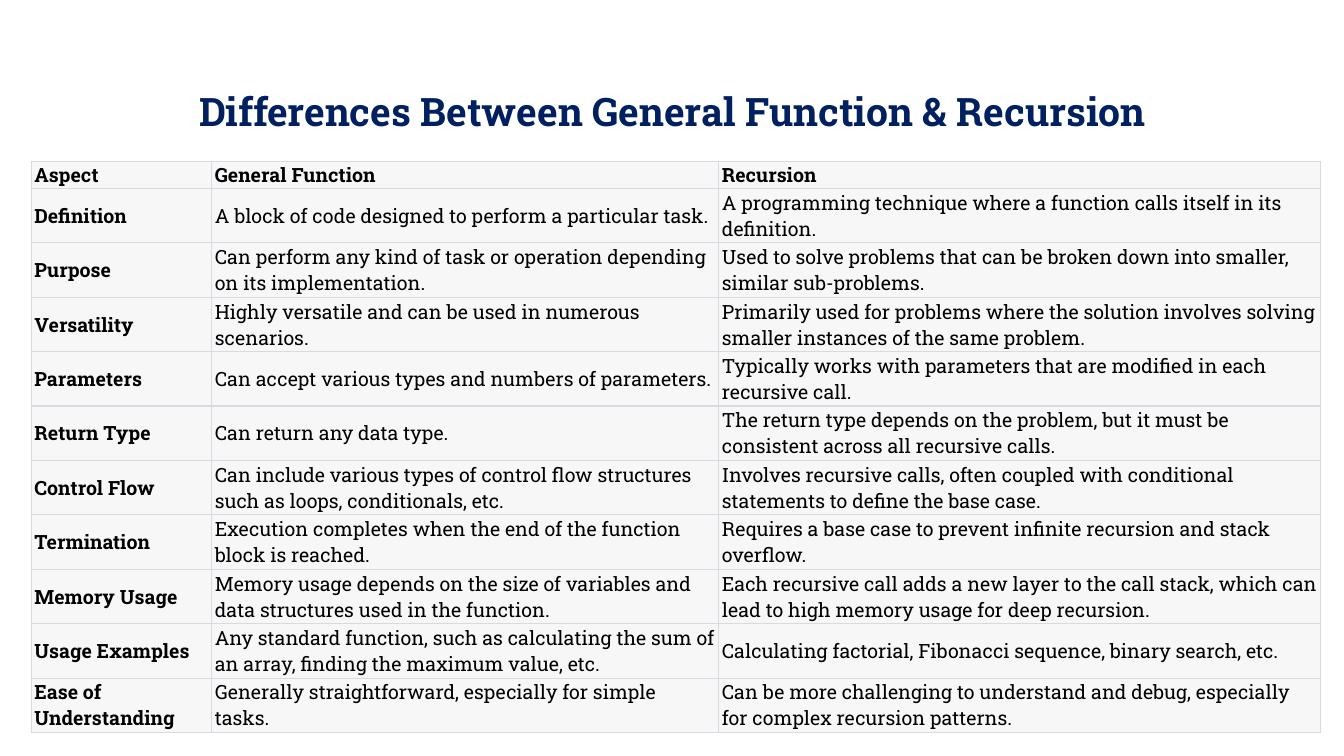
from lxml import etree
from pptx import Presentation
from pptx import util as u
from pptx.dml.color import RGBColor
from pptx.enum import text
from pptx.oxml import ns

ROWS = [
    ("Aspect", "General Function", "Recursion"),
    ("Definition",
     "A block of code designed to perform a particular task.",
     "A programming technique where a function calls itself in its definition."),
    ("Purpose",
     "Can perform any kind of task or operation depending on its implementation.",
     "Used to solve problems that can be broken down into smaller, similar sub-problems."),
    ("Versatility",
     "Highly versatile and can be used in numerous scenarios.",
     "Primarily used for problems where the solution involves solving smaller instances of the same problem."),
    ("Parameters",
     "Can accept various types and numbers of parameters.",
     "Typically works with parameters that are modified in each recursive call."),
    ("Return Type",
     "Can return any data type.",
     "The return type depends on the problem, but it must be consistent across all recursive calls."),
    ("Control Flow",
     "Can include various types of control flow structures such as loops, conditionals, etc.",
     "Involves recursive calls, often coupled with conditional statements to define the base case."),
    ("Termination",
     "Execution completes when the end of the function block is reached.",
     "Requires a base case to prevent infinite recursion and stack overflow."),
    ("Memory Usage",
     "Memory usage depends on the size of variables and data structures used in the function.",
     "Each recursive call adds a new layer to the call stack, which can lead to high memory usage for deep recursion."),
    ("Usage Examples",
     "Any standard function, such as calculating the sum of an array, finding the maximum value, etc.",
     "Calculating factorial, Fibonacci sequence, binary search, etc."),
    ("Ease of Understanding",
     "Generally straightforward, especially for simple tasks.",
     "Can be more challenging to understand and debug, especially for complex recursion patterns."),
]


def color(code):
    return RGBColor.from_string(code)


def assign(item, values):
    for name, value in values.items():
        setattr(item, name, value)


class Deck:
    """Style and current slide; lengths are percent of the slide's size."""
    font = "Roboto Slab"
    ink, navy, pale, rule = "000000", "002060", "F7F7F8", "D9D9E3"

    def __init__(self):
        self.show = Presentation()
        assign(self.show, {"slide_width": u.Inches(13.33), "slide_height": u.Inches(7.5)})
        self.slide = self.show.slides.add_slide(self.show.slide_layouts[6])

    def col(self, share):
        return int(self.show.slide_width * share / 100)

    def row(self, share):
        return int(self.show.slide_height * share / 100)

    def label(self, frame, words, size, bold, hue):
        """Put one run of text in the frame and return its paragraph."""
        part = frame.paragraphs[0]
        run = part.add_run()
        run.text = words
        assign(run.font, {"name": self.font, "size": u.Pt(size), "bold": bold})
        run.font.color.rgb = color(hue)
        return part

    def title(self, words, left, top, width, height):
        box = self.slide.shapes.add_textbox(
            self.col(left), self.row(top), self.col(width), self.row(height))
        assign(box.text_frame, {"word_wrap": True, "vertical_anchor": text.MSO_ANCHOR.MIDDLE})
        part = self.label(box.text_frame, words, 28, True, self.navy)
        assign(part, {"alignment": text.PP_ALIGN.CENTER, "line_spacing": 0.9})

    def border(self, cell, sides):
        for side, width in sides.items():
            line = etree.SubElement(cell._tc.get_or_add_tcPr(), ns.qn("a:ln" + side),
                                    w=str(u.Pt(width)))
            fill = etree.SubElement(line, ns.qn("a:solidFill"))
            etree.SubElement(fill, ns.qn("a:srgbClr"), val=self.rule)

    def table(self, rows, left, top, widths, heights):
        grid = self.slide.shapes.add_table(
            len(rows), len(widths), self.col(left), self.row(top),
            self.col(sum(widths)), self.row(sum(heights))).table
        assign(grid, {"first_row": False, "horz_banding": False})
        for column, width in zip(grid.columns, widths):
            column.width = self.col(width)
        for line, height in zip(grid.rows, heights):
            line.height = self.row(height)
        last = len(rows) - 1
        for i, line in enumerate(rows):
            for j, words in enumerate(line):
                cell = grid.cell(i, j)
                self.border(cell, {"L": 0.75, "R": 0.75, "T": 1 if i else 0.75,
                                   "B": 1 if i < last else 0.75})
                cell.fill.solid()
                cell.fill.fore_color.rgb = color(self.pale)
                anchor = text.MSO_ANCHOR.MIDDLE if i else text.MSO_ANCHOR.BOTTOM
                assign(cell, {"vertical_anchor": anchor,
                              "margin_left": u.Inches(0.03), "margin_right": u.Inches(0.03),
                              "margin_top": u.Inches(0.01), "margin_bottom": u.Inches(0.01)})
                self.label(cell.text_frame, words, 14, i == 0 or j == 0, self.ink)


def main():
    deck = Deck()
    deck.title("Differences Between General Function & Recursion", 6.9, 5.33, 86.25, 19.33)
    deck.table(ROWS, 2.33, 21.33, [13.43, 37.73, 44.78], [3.6] + [7.2] * (len(ROWS) - 1))
    deck.show.save("out.pptx")


if __name__ == "__main__":
    main()
